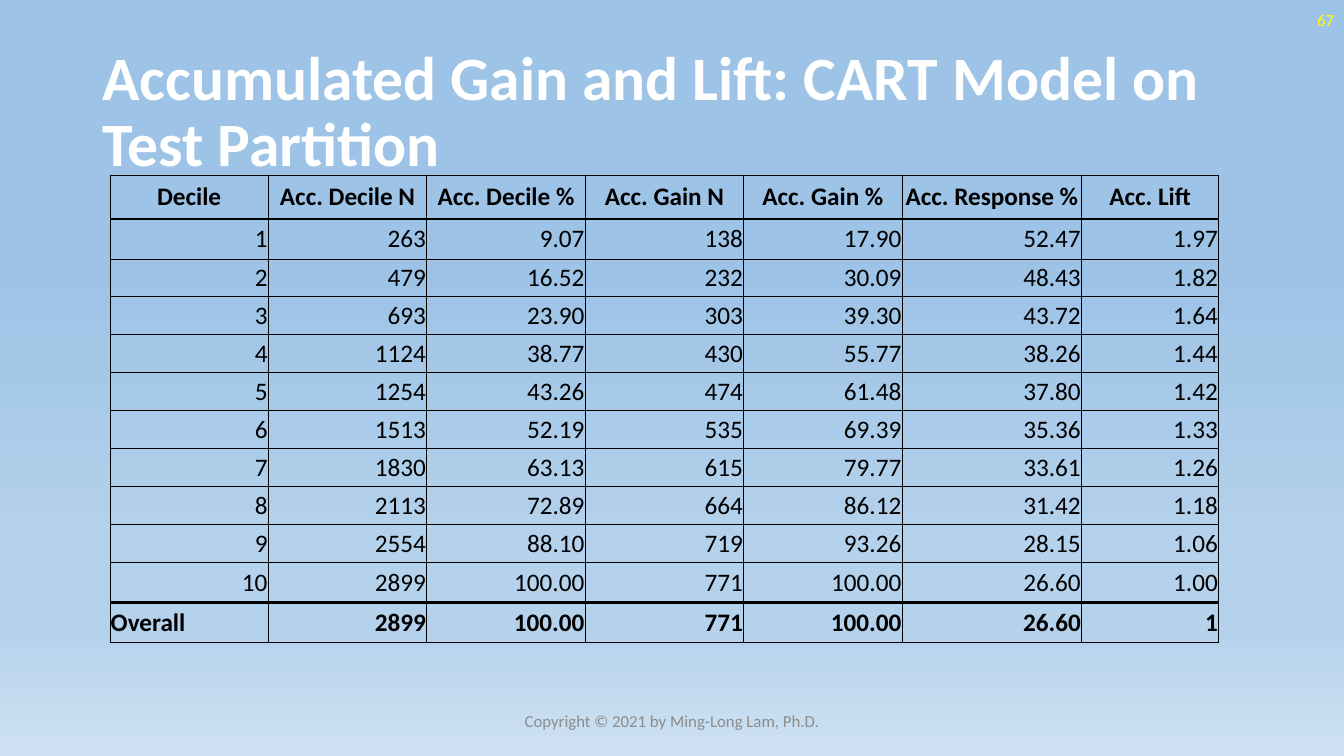
import pptx
import pptx.dml.color
import pptx.enum.text
import pptx.oxml
import pptx.oxml.ns
import pptx.util

Pt = pptx.util.Pt
RGBColor = pptx.dml.color.RGBColor
ALIGN = pptx.enum.text.PP_ALIGN
MIDDLE = pptx.enum.text.MSO_ANCHOR.MIDDLE

BLACK = RGBColor(0x00, 0x00, 0x00)
WHITE = RGBColor(0xFF, 0xFF, 0xFF)
YELLOW = RGBColor(0xFF, 0xFF, 0x00)
GRAY = RGBColor(0x8C, 0x8C, 0x8C)
SKY = RGBColor(0x9D, 0xC3, 0xE6)
PALE = RGBColor(0xB5, 0xD2, 0xEC)
MIST = RGBColor(0xCE, 0xE1, 0xF2)
NS = pptx.oxml.ns.nsdecls("a")


def write(tf, text, align, size, color, bold=False):
    tf.word_wrap = True
    p = tf.paragraphs[0]
    p.alignment = align
    r = p.add_run()
    r.text = text
    for name, value in {"name": "Calibri", "size": Pt(size), "bold": bold}.items():
        setattr(r.font, name, value)
    r.font.color.rgb = color
    return p


def add_border(cell, side, width):
    cell._tc.get_or_add_tcPr().append(pptx.oxml.parse_xml(
        f'<a:{side} {NS} w="{Pt(width)}"><a:solidFill><a:srgbClr val="{BLACK}"/>'
        f'</a:solidFill><a:prstDash val="solid"/></a:{side}>'))


prs = pptx.Presentation()
prs.slide_width, prs.slide_height = Pt(960), Pt(540)
s = prs.slides.add_slide(prs.slide_layouts[5])

fill = s.background.fill
fill.gradient()
fill.gradient_angle = 270
stops = next(s.element.iter(pptx.oxml.ns.qn("a:gsLst")))
for stop in list(stops):
    stops.remove(stop)
for percent, color in ((35, SKY), (74, PALE), (83, PALE), (100, MIST)):
    stops.append(pptx.oxml.parse_xml(
        f'<a:gs {NS} pos="{percent * 1000}"><a:srgbClr val="{color}"/></a:gs>'))

title = s.shapes.title
title.left, title.top, title.width, title.height = Pt(66), Pt(28.75), Pt(828), Pt(104.4)
tf = title.text_frame
tf.auto_size = pptx.enum.text.MSO_AUTO_SIZE.NONE
tf.vertical_anchor = MIDDLE
p = write(tf, "Accumulated Gain and Lift: CART Model on Test Partition",
          ALIGN.LEFT, 44, WHITE, True)
p.line_spacing = 0.9

for text, left, top, width, align, color in (
    ("67", 744, 0, 216, ALIGN.RIGHT, YELLOW),
    ("Copyright © 2021 by Ming-Long Lam, Ph.D.", 318, 500.5, 324, ALIGN.CENTER, GRAY),
):
    sp = s.shapes.add_textbox(Pt(left), Pt(top), Pt(width), Pt(28.75))
    sp.text_frame.vertical_anchor = MIDDLE
    write(sp.text_frame, text, align, 12, color)

rows = [
    ["Decile", "Acc. Decile N", "Acc. Decile %", "Acc. Gain N", "Acc. Gain %",
     "Acc. Response %", "Acc. Lift"],
    ["1", "263", "9.07", "138", "17.90", "52.47", "1.97"],
    ["2", "479", "16.52", "232", "30.09", "48.43", "1.82"],
    ["3", "693", "23.90", "303", "39.30", "43.72", "1.64"],
    ["4", "1124", "38.77", "430", "55.77", "38.26", "1.44"],
    ["5", "1254", "43.26", "474", "61.48", "37.80", "1.42"],
    ["6", "1513", "52.19", "535", "69.39", "35.36", "1.33"],
    ["7", "1830", "63.13", "615", "79.77", "33.61", "1.26"],
    ["8", "2113", "72.89", "664", "86.12", "31.42", "1.18"],
    ["9", "2554", "88.10", "719", "93.26", "28.15", "1.06"],
    ["10", "2899", "100.00", "771", "100.00", "26.60", "1.00"],
    ["Overall", "2899", "100.00", "771", "100.00", "26.60", "1"],
]
widths = [113.2] * 5 + [128.2, 97.9]
heights = [31.3, 28.6] + [27.15] * 8 + [28.5] * 2
last = len(rows) - 1
frame = s.shapes.add_table(len(rows), len(widths), Pt(78.5), Pt(125),
                           Pt(sum(widths)), Pt(sum(heights)))
table = frame.table
table.first_row = table.horz_banding = False
for column, width in zip(table.columns, widths):
    column.width = Pt(width)

for i, row in enumerate(rows):
    table.rows[i].height = Pt(heights[i])
    top = 2 if i in (1, last) else 0.5
    bottom = 2 if i in (0, last - 1) else 0.5
    for j, text in enumerate(row):
        cell = table.cell(i, j)
        cell.vertical_anchor = MIDDLE
        for name, value in {"margin_left": 0.6, "margin_right": 0.6,
                            "margin_top": 0.6, "margin_bottom": 0}.items():
            setattr(cell, name, Pt(value))
        for side, width in {"lnL": 0.5, "lnR": 0.5, "lnT": top, "lnB": bottom}.items():
            add_border(cell, side, width)
        cell.fill.background()
        align = ALIGN.CENTER if i == 0 else ALIGN.RIGHT
        if text == "Overall":
            align = ALIGN.LEFT
        write(cell.text_frame, text, align, 18, BLACK, i in (0, last))

prs.save("out.pptx")
